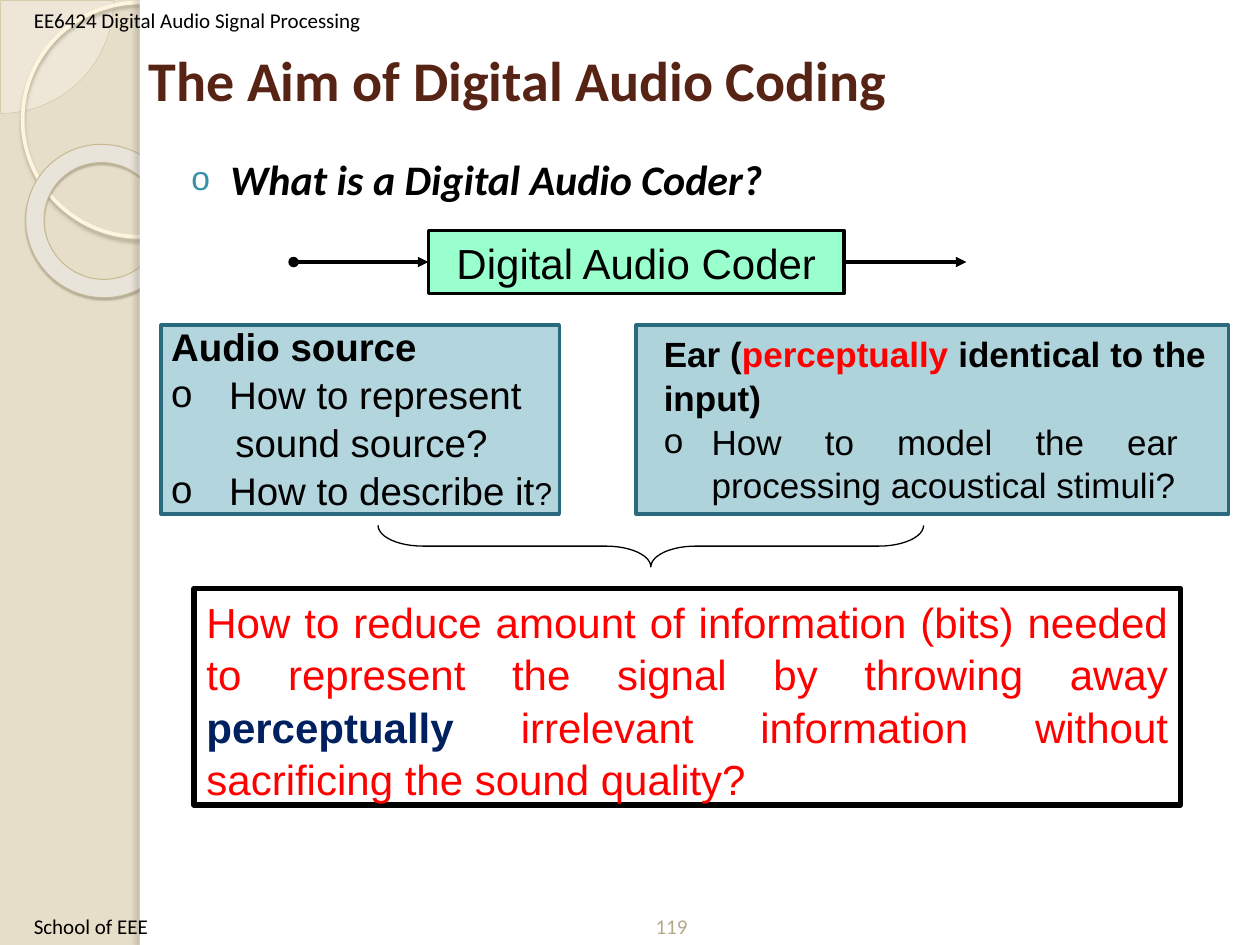
from lxml.etree import SubElement
from pptx import Presentation
from pptx.dml.color import RGBColor
from pptx.enum.shapes import MSO_CONNECTOR, MSO_SHAPE
from pptx.enum.text import MSO_ANCHOR, PP_ALIGN
from pptx.oxml.ns import qn
from pptx.util import Inches, Pt

THEME = {
    "sand": "E7DEC9", "ivory": "FEFAF4", "ring": "FFF5DE", "donut": "E8E4DA",
    "pie_edge": "D3C39F", "donut_edge": "C7B893", "white": "FFFFFF",
    "black": "000000", "brown": "572314", "teal": "3891A7", "teal_edge": "296B7C",
    "mint": "99FFCC", "red": "FF0000", "navy": "002060", "number": "B6A98A",
    "title": 32, "lead": 24, "source": 22, "ear": 20, "mark": 18, "small": 12,
    "heading_font": "Calibri", "text_font": "Arial",
}

deck = Presentation()
deck.slide_width, deck.slide_height = Inches(10), Inches(7.5)
slide = deck.slides.add_slide(deck.slide_layouts[6])
slide.background.fill.solid()
slide.background.fill.fore_color.rgb = RGBColor.from_string(THEME["sand"])
COLUMN, ROW = deck.slide_width / 100, deck.slide_height / 100


def draw(kind, area, fill=None, edge=None, width=1, alpha=100):
    """Add a shape; area is left, top, width, height in percent of the slide."""
    left, top, across, down = area
    shape = slide.shapes.add_shape(kind, round(left * COLUMN), round(top * ROW),
                                   round(across * COLUMN), round(down * ROW))
    shape.shadow.inherit = False
    if fill:
        shape.fill.solid()
        shape.fill.fore_color.rgb = RGBColor.from_string(THEME[fill])
        color = shape.element.spPr.find(qn("a:solidFill"))[0]
        SubElement(color, qn("a:alpha"), val=str(alpha * 1000))
    else:
        shape.fill.background()
    if edge:
        shape.line.color.rgb = RGBColor.from_string(THEME[edge])
        shape.line.width = Pt(width)
    else:
        shape.line.fill.background()
    return shape


def write(frame, paragraphs, size, font="text_font", color="black",
          align=PP_ALIGN.LEFT, anchor=MSO_ANCHOR.TOP, leading=1.04):
    """Fill a frame with (layout, runs) pairs; a run is (text, font values)."""
    frame.word_wrap, frame.vertical_anchor = True, anchor
    for index, (layout, runs) in enumerate(paragraphs):
        paragraph = frame.paragraphs[0] if index == 0 else frame.add_paragraph()
        paragraph.alignment, paragraph.line_spacing = align, leading
        properties = paragraph._p.get_or_add_pPr()
        for name in ("marL", "indent", "marR"):
            if name in layout:
                properties.set(name, str(Inches(layout[name])))
        if "bullet" in layout:
            tint = SubElement(properties, qn("a:buClr"))
            SubElement(tint, qn("a:srgbClr"), val=THEME[layout["bullet"]])
            SubElement(properties, qn("a:buSzPct"), val=str(layout.get("scale", 100) * 1000))
            SubElement(properties, qn("a:buFont"), typeface=THEME["text_font"])
            SubElement(properties, qn("a:buChar"), char="o")
        for text, values in runs:
            run = paragraph.add_run()
            run.text = text
            look = {"name": THEME[font], "size": Pt(THEME[size]), **values}
            run.font.color.rgb = RGBColor.from_string(THEME[look.pop("color", color)])
            for name, value in look.items():
                setattr(run.font, name, value)


# Side decoration
pie = draw(MSO_SHAPE.PIE, (-8.9, -11.87, 17.9, 23.87), "ivory", "pie_edge", 0.25, 33)
pie.adjustments[0], pie.adjustments[1] = 0, 54
ring = draw(MSO_SHAPE.OVAL, (1.8, 0.27, 18.6, 24.8), None, "ring", 2.15)
donut = draw(MSO_SHAPE.DONUT, (2, 15.33, 12.3, 16.13), "donut", "donut_edge", 0.58)
donut.adjustments[0], donut.rotation = 0.12, 38.6
page_area = (11.1, 0, 88.9, 100)
draw(MSO_SHAPE.RECTANGLE, page_area, "white")
page_edge = draw(MSO_SHAPE.RECTANGLE, (11.1, 0, 0.8, 100), "white")

for shape, color, opacity, blur, distance, angle in (
    (ring, "B0A68F", 85, 2, 2, 90),
    (donut, "5A5444", 35, 1, 1.2, 75),
    (page_edge, "736F63", 25, 3, 3, 180),
):
    effects = shape.element.spPr.find(qn("a:effectLst"))
    shadow = SubElement(effects, qn("a:outerShdw"), blurRad=str(Pt(blur)),
                        dist=str(Pt(distance)), dir=str(angle * 60000),
                        algn="tl", rotWithShape="0")
    tone = SubElement(shadow, qn("a:srgbClr"), val=color)
    SubElement(tone, qn("a:alpha"), val=str(opacity * 1000))

# Panels, coder and brace
for area, alpha in (((12.8, 34.4, 31.6, 20), 38), ((50.5, 34.4, 47, 20), 40)):
    draw(MSO_SHAPE.RECTANGLE, area, "teal", "teal_edge", 2, alpha)
coder = draw(MSO_SHAPE.RECTANGLE, (34, 24.4, 33, 6.67), "mint", "black", 2)
write(coder.text_frame, [({}, [("Digital Audio Coder", {})])], "lead",
      align=PP_ALIGN.CENTER, anchor=MSO_ANCHOR.MIDDLE)

for start, end, tips in (
    (67, 76.7, {"tailEnd": "triangle"}),
    (23.3, 34, {"headEnd": "oval", "tailEnd": "triangle"}),
):
    level = round(27.73 * ROW)
    arrow = slide.shapes.add_connector(MSO_CONNECTOR.STRAIGHT, round(start * COLUMN), level,
                                       round(end * COLUMN), level)
    arrow.line.color.rgb = RGBColor.from_string(THEME["black"])
    arrow.line.width = Pt(2)
    for tip, style in tips.items():
        SubElement(arrow.element.spPr.find(qn("a:ln")), qn(f"a:{tip}"), type=style)
    SubElement(arrow.element.spPr, qn("a:effectLst"))

brace = draw(MSO_SHAPE.RIGHT_BRACE, (50, 28.93, 3.3, 57.73), None, "black", 0.75)
brace.adjustments[0], brace.adjustments[1], brace.rotation = 1.08, 0.5, 90

question = draw(MSO_SHAPE.RECTANGLE, (15.4, 62.27, 78.3, 22.93), None, "black", 3)
write(question.text_frame, [({}, [
    ("How to reduce amount of information (bits) needed to represent the signal "
     "by throwing away ", {}),
    ("perceptually ", {"color": "navy", "bold": True}),
    ("irrelevant information without sacrificing the sound quality?", {}),
])], "lead", color="red", align=PP_ALIGN.JUSTIFY)

# Free text
bold, hanging = {"bold": True}, {"marL": 0.46, "indent": -0.46, "bullet": "black"}
source_lines = [
    ({}, [("Audio source", bold)]),
    (hanging, [("How to represent", {})]),
    ({"marL": 0.51}, [("sound source?", {})]),
    (hanging, [("How to describe it", {}), ("?", {"size": Pt(THEME["mark"])})]),
]
ear_lines = [
    ({}, [("Ear (", bold), ("perceptually ", {"bold": True, "color": "red"}),
          ("identical to the input)", bold)]),
    ({"marL": 0.38, "indent": -0.38, "marR": 0.22, "bullet": "black"},
     [("How to model the ear processing acoustical stimuli?", {})]),
]
lead_layout = {"marL": 0.4, "indent": -0.31, "bullet": "teal", "scale": 80}
heading = {"font": "heading_font", "leading": 1}
footer = {**heading, "size": "small", "anchor": MSO_ANCHOR.BOTTOM}

for area, paragraphs, style in (
    ((1.7, 0.67, 36.6, 3.47), [({}, [("EE6424 Digital Audio Signal Processing", {})])], footer),
    ((10.8, 0, 82, 16.67), [({}, [("The Aim of Digital Audio Coding", bold)])],
     {**heading, "size": "title", "color": "brown", "anchor": MSO_ANCHOR.MIDDLE}),
    ((13.3, 15.6, 84.4, 8),
     [(lead_layout, [("What is a Digital Audio Coder?", {"bold": True, "italic": True})])],
     {**heading, "size": "lead"}),
    ((12.6, 33.33, 33.2, 21.07), source_lines, {"size": "source"}),
    ((51.7, 34.4, 45, 23.33), ear_lines, {"size": "ear", "align": PP_ALIGN.JUSTIFY}),
    ((1.7, 93.07, 31.7, 6.93), [({}, [("School of EEE", {})])], footer),
    ((50.8, 93.07, 5, 6.93), [({}, [("119", {})])],
     {**footer, "color": "number", "align": PP_ALIGN.CENTER}),
):
    left, top, across, down = area
    text = slide.shapes.add_textbox(round(left * COLUMN), round(top * ROW),
                                    round(across * COLUMN), round(down * ROW))
    write(text.text_frame, paragraphs, **style)

deck.save("out.pptx")
